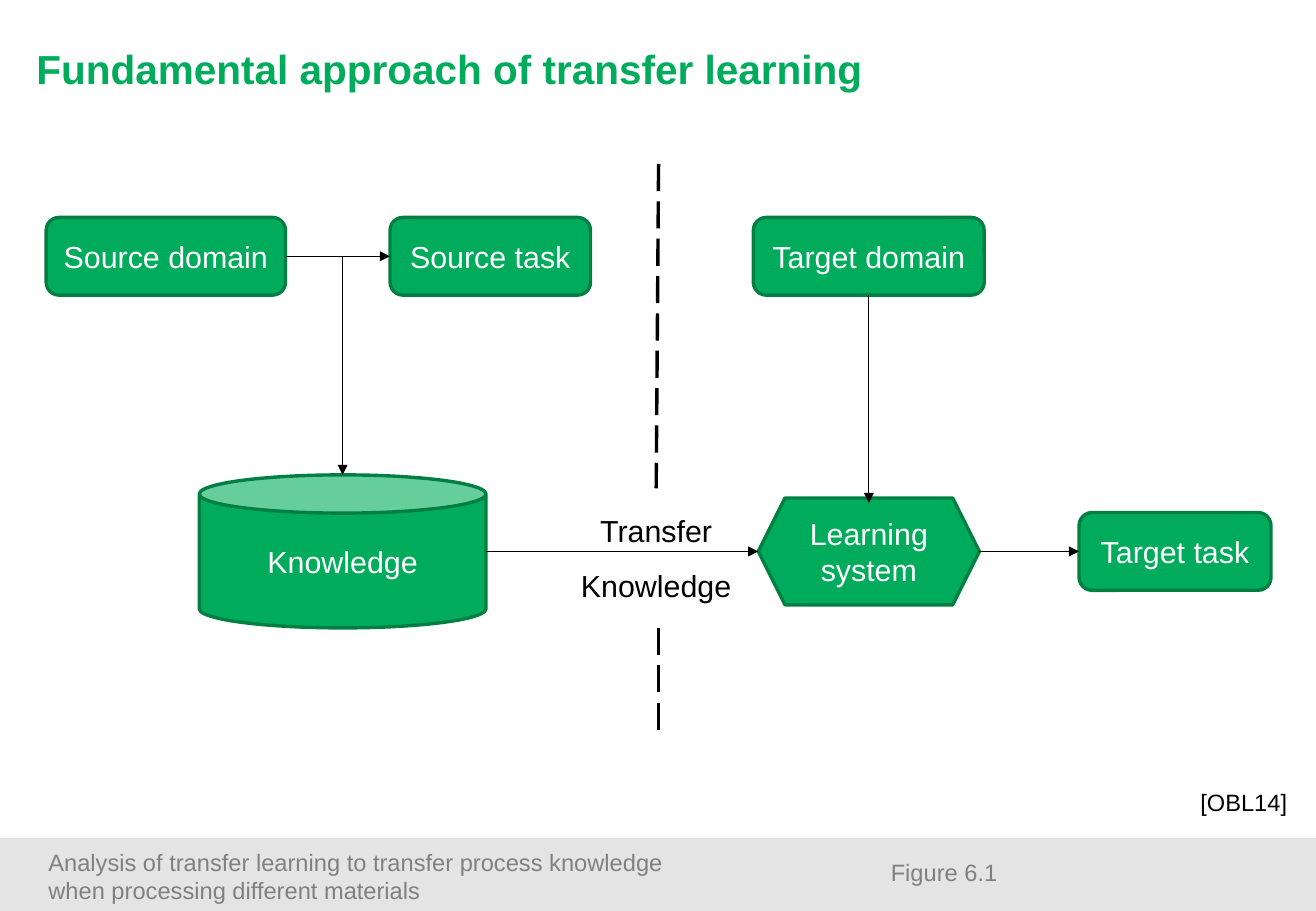
from lxml import etree
from pptx import Presentation
from pptx import util as u
from pptx.dml.color import RGBColor
from pptx.enum import dml, shapes, text
from pptx.oxml.ns import qn

PX = 9144
GREEN, DARK_GREEN = "00AC5B", "007F43"
BLACK, WHITE, GREY, LIGHT_GREY = "000000", "FFFFFF", "808080", "E4E4E4"
TOP, LEFT, BOTTOM, RIGHT = range(4)


def px(*lengths):
    """Turn px lengths into EMU."""
    return [u.Emu(length * PX) for length in lengths]


def rgb(code):
    """Turn a hex string into a colour."""
    return RGBColor.from_string(code)


def write(frame, *lines, size=18, color=BLACK, bold=False, align=text.PP_ALIGN.LEFT,
          anchor=text.MSO_ANCHOR.TOP, wrap=True, spacing=None):
    """Fill a text frame with one paragraph per line."""
    frame.word_wrap = wrap
    frame.vertical_anchor = anchor
    for index, line in enumerate(lines):
        paragraph = frame.add_paragraph() if index else frame.paragraphs[0]
        paragraph.text = line
        paragraph.alignment = align
        paragraph.line_spacing = spacing
        font = paragraph.font
        font.name, font.size, font.bold = "Arial", u.Pt(size), bold
        font.color.rgb = rgb(color)


def add_label(slide, box, *lines, **style):
    """Add a text box."""
    label = slide.shapes.add_textbox(*px(*box))
    write(label.text_frame, *lines, **style)


def add_node(slide, box, name, kind=shapes.MSO_SHAPE.ROUNDED_RECTANGLE):
    """Add a green diagram node with a centred name."""
    node = slide.shapes.add_shape(kind, *px(*box))
    node.shadow.inherit = False
    node.fill.solid()
    node.fill.fore_color.rgb = rgb(GREEN)
    node.line.color.rgb = rgb(DARK_GREEN)
    node.line.width = u.Pt(2)
    write(node.text_frame, name, color=WHITE, align=text.PP_ALIGN.CENTER,
          anchor=text.MSO_ANCHOR.MIDDLE)
    return node


def add_line(slide, ends, width):
    """Add a plain black line between two points."""
    line = slide.shapes.add_connector(shapes.MSO_CONNECTOR.STRAIGHT, *px(*ends))
    line.line.color.rgb = rgb(BLACK)
    line.line.width = u.Pt(width)
    etree.SubElement(line._element.spPr, qn("a:effectLst"))
    return line


def add_arrow(slide, ends, start=None, finish=None):
    """Add an arrow, joined to (node, side) pairs where given."""
    arrow = add_line(slide, ends, 0.75)
    etree.SubElement(arrow.line._get_or_add_ln(), qn("a:tailEnd"), type="triangle")
    if start:
        arrow.begin_connect(*start)
    if finish:
        arrow.end_connect(*finish)


def add_divider(slide, ends):
    """Add a dashed part of the line between source and target."""
    add_line(slide, ends, 2).line.dash_style = dml.MSO_LINE.LONG_DASH


def add_title(slide, box, heading):
    """Place the heading in the title placeholder."""
    title = slide.shapes.title
    title.left, title.top, title.width, title.height = px(*box)
    frame = title.text_frame
    frame.margin_left = frame.margin_top = frame.margin_right = frame.margin_bottom = 0
    frame.auto_size = text.MSO_AUTO_SIZE.NONE
    write(frame, heading, size=24, color=GREEN, bold=True)


def add_source(slide, x, y):
    """Build the source domain, its task and the knowledge store."""
    domain = add_node(slide, (x, y, 197, 64), "Source domain")
    task = add_node(slide, (x + 283, y, 165, 64), "Source task")
    add_node(slide, (x + 126, y + 212, 236, 126), "Knowledge", shapes.MSO_SHAPE.CAN)
    add_arrow(slide, (x + 197, y + 32, x + 283, y + 32), (domain, RIGHT), (task, LEFT))
    add_arrow(slide, (x + 244, y + 32, x + 244, y + 212))


def add_target(slide, x, y):
    """Build the target domain, the learning system and the target task."""
    domain = add_node(slide, (x, y, 190, 64), "Target domain")
    add_node(slide, (x + 4, y + 231, 182, 88), "Learning system", shapes.MSO_SHAPE.HEXAGON)
    task = add_node(slide, (x + 268, y + 243, 158, 64), "Target task")
    add_arrow(slide, (x + 95, y + 64, x + 95, y + 235), start=(domain, BOTTOM))
    add_arrow(slide, (x + 186, y + 275, x + 268, y + 275), finish=(task, LEFT))


def add_transfer(slide, x, y):
    """Build the divider and the knowledge transfer that crosses it."""
    add_divider(slide, (x + 142, y, x + 140, y + 267))
    add_divider(slide, (x + 142, y + 382, x + 142, y + 468))
    add_arrow(slide, (x, y + 319, x + 224, y + 319))
    add_label(slide, (x + 60, y + 267, 160, 95), "Transfer", "Knowledge",
              align=text.PP_ALIGN.CENTER, wrap=False, spacing=1.5)


def add_footer(slide, x, y, width, height):
    """Build the footer band with the topic and the figure number."""
    band = slide.shapes.add_shape(shapes.MSO_SHAPE.RECTANGLE, *px(x, y, width, height))
    band.shadow.inherit = False
    band.fill.solid()
    band.fill.fore_color.rgb = rgb(LIGHT_GREY)
    band.line.fill.background()
    add_label(slide, (x + 30, y + 3, 650, 54),
              "Analysis of transfer learning to transfer process knowledge",
              "when processing different materials", size=14, color=GREY)
    add_label(slide, (x + 712, y + 11, 130, 37), "Figure 6.1", size=14, color=GREY,
              align=text.PP_ALIGN.CENTER, wrap=False)


def main():
    """Build and save the slide."""
    deck = Presentation()
    deck.slide_width, deck.slide_height = px(1083, 750)
    slide = deck.slides.add_slide(deck.slide_layouts[5])
    add_footer(slide, 0, 690, 1083, 60)
    add_title(slide, (30, 36, 1024, 79), "Fundamental approach of transfer learning")
    add_source(slide, 38, 179)
    add_target(slide, 620, 179)
    add_transfer(slide, 400, 135)
    add_label(slide, (978, 644, 100, 31), "[OBL14]", size=14, wrap=False)
    deck.save("out.pptx")


if __name__ == "__main__":
    main()
